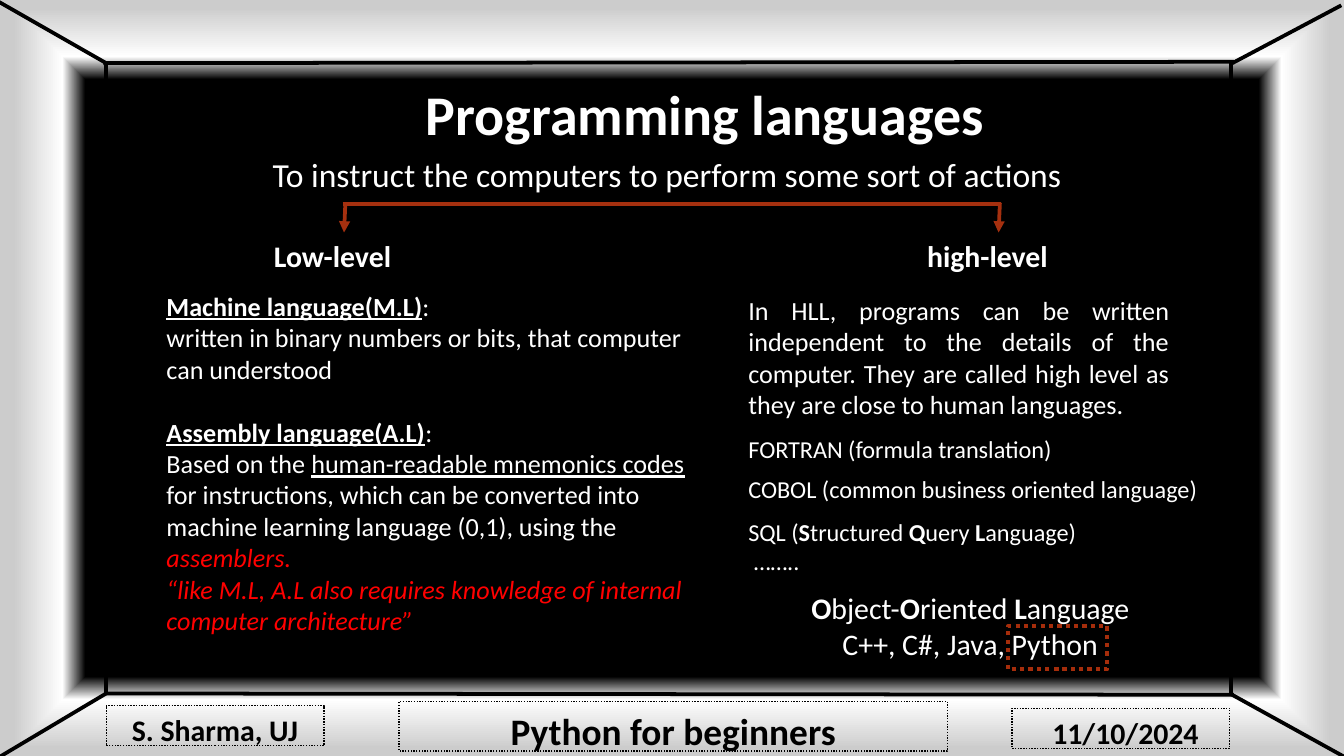
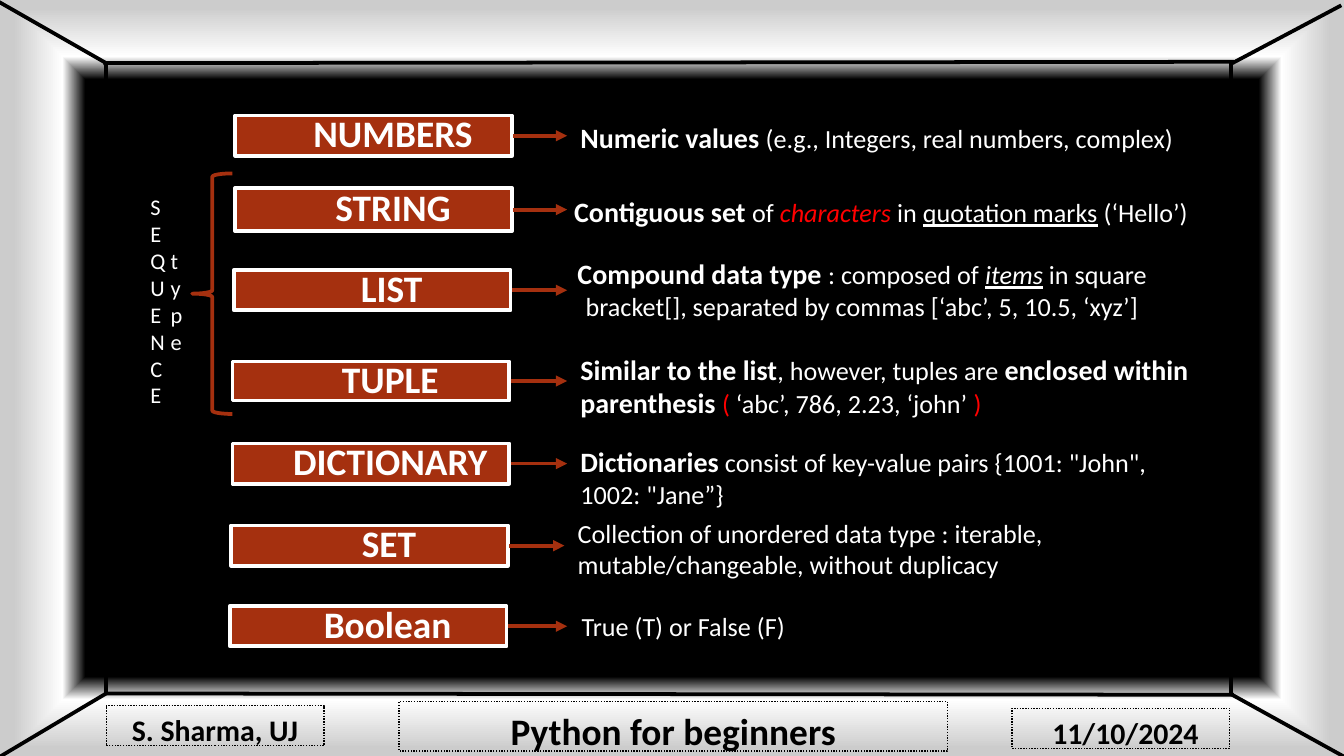
from lxml.etree import SubElement
from pptx import Presentation
from pptx.dml.color import RGBColor
from pptx.enum.dml import MSO_LINE
from pptx.enum.shapes import MSO_CONNECTOR, MSO_SHAPE
from pptx.enum.text import MSO_ANCHOR, MSO_AUTO_SIZE, PP_ALIGN as ALIGN
from pptx.oxml.ns import qn
from pptx.util import Inches, Pt

COLORS = {
    "black": "000000",
    "white": "FFFFFF",
    "gray": "CCCCCC",
    "rust": "A5300F",
    "marker": "A52D0B",
    "red": "FF0000",
}
FONT = "Calibri"


def write(shape, paragraphs, size, align=ALIGN.LEFT, color="white", bold_size=None):
    frame = shape.text_frame
    frame.word_wrap = True
    for index, parts in enumerate(paragraphs):
        paragraph = frame.paragraphs[0] if index == 0 else frame.add_paragraph()
        paragraph.alignment = align
        for text, style in parts:
            run = paragraph.add_run()
            run.text = text
            font = run.font
            font.name = FONT
            font.bold = "b" in style
            font.italic = "i" in style
            font.underline = "u" in style
            font.size = Pt(bold_size if bold_size and font.bold else size)
            font.color.rgb = RGBColor.from_string(COLORS["red" if "r" in style else color])
    return frame


def draw_line(slide, start, end, color, arrow=False):
    points = [Inches(value) for value in (*start, *end)]
    connector = slide.shapes.add_connector(MSO_CONNECTOR.STRAIGHT, *points)
    connector.line.color.rgb = RGBColor.from_string(COLORS[color])
    connector.line.width = Pt(2)
    properties = connector.element.spPr
    if arrow:
        SubElement(properties.find(qn("a:ln")), qn("a:tailEnd"), type="triangle")
    SubElement(properties, qn("a:effectLst"))


presentation = Presentation()
presentation.slide_width = Inches(10)
presentation.slide_height = Inches(5.625)
blank_layout = presentation.slide_layouts[6]

backdrop_stops = [(79, "black"), (85, "white"), (98, "gray")]
frame_lines = [
    ((0.78, 5.16), (9.18, 5.17)),
    ((0.79, 5.17), (0.79, 0.46)),
    ((9.16, 5.16), (9.16, 0.46)),
    ((9.17, 0.47), (9.98, 0.04)),
    ((10, 5.63), (9.15, 5.16)),
    ((0.79, 5.16), (0, 5.63)),
    ((0.77, 0.47), (9.18, 0.46)),
    ((0.79, 0.47), (-0.05, -0.01)),
]
footers = [
    ("11/10/2024", (7.53, 5.27, 1.62, 0.3), 16, ALIGN.LEFT, 0.3),
    ("Python for beginners", (2.97, 5.22, 4.08, 0.37), 20, ALIGN.CENTER, 0.1),
    ("S. Sharma, UJ", (0.79, 5.25, 1.62, 0.3), 16, ALIGN.CENTER, 0.1),
]

for _ in range(2):
    slide = presentation.slides.add_slide(blank_layout)
    slide.background.fill.gradient()
    gradient = next(slide.element.iter(qn("a:gradFill")))
    gradient.clear()
    stop_list = SubElement(gradient, qn("a:gsLst"))
    for position, color in backdrop_stops:
        stop = SubElement(stop_list, qn("a:gs"), pos=str(position * 1000))
        SubElement(stop, qn("a:srgbClr"), val=COLORS[color])
    center = SubElement(gradient, qn("a:path"), path="shape")
    SubElement(center, qn("a:fillToRect"), {side: "50000" for side in "ltrb"})

    for start, end in frame_lines:
        draw_line(slide, start, end, "black")

    for text, box, size, align, indent in footers:
        footer = slide.shapes.add_shape(MSO_SHAPE.RECTANGLE, *map(Inches, box))
        footer.shadow.inherit = False
        footer.fill.background()
        footer.line.color.rgb = RGBColor.from_string(COLORS["black"])
        footer.line.width = Pt(0.75)
        footer.line.dash_style = MSO_LINE.ROUND_DOT
        text_frame = write(footer, [[(text, "b")]], size, align, "black")
        text_frame.vertical_anchor = MSO_ANCHOR.TOP
        text_frame.margin_left = Inches(indent)

languages_slide, types_slide = presentation.slides

low_level = [
    [("Machine language(M.L)", "bu"), (":", "")],
    [("written in binary numbers or bits, that computer can understood", "")],
    [("Assembly language(A.L)", "bu"), (":", "")],
    [
        ("Based on the ", ""),
        ("human-readable mnemonics codes", "u"),
        (" for instructions, which can be converted into machine learning language (0,1), using the ", ""),
        ("assemblers.", "ir"),
    ],
    [("“like M.L, A.L also requires knowledge of internal computer architecture”", "ir")],
]
high_level = [[(
    "In HLL, programs can be written independent to the details of the computer. "
    "They are called high level as they are close to human languages.", "",
)]]
query_language = [
    [("SQL (", ""), ("S", "b"), ("tructured ", ""), ("Q", "b"), ("uery ", ""), ("L", "b"), ("anguage)", "")],
    [(" ……..", "")],
]
object_oriented = [
    [("O", "b"), ("bject-", ""), ("O", "b"), ("riented ", ""), ("L", "b"), ("anguage", "")],
    [("C++, C#, Java, Python", "")],
]
language_texts = [
    ((3.07, 0.54, 4.6, 0.61), 30, ALIGN.LEFT, [[("Programming languages", "b")]]),
    ((1.93, 1.1, 6.44, 0.4), 18, ALIGN.LEFT,
     [[("To instruct the computers to perform some sort of actions", "")]]),
    ((1.94, 1.72, 1.27, 0.37), 16, ALIGN.LEFT, [[("Low-level", "b")]]),
    ((6.8, 1.72, 1.27, 0.37), 16, ALIGN.LEFT, [[("high-level", "b")]]),
    ((1.14, 2.11, 4.11, 2.93), 14, ALIGN.LEFT, low_level),
    ((5.47, 2.14, 3.33, 1.28), 14, ALIGN.JUSTIFY, high_level),
    ((5.47, 3.18, 3, 0.32), 13, ALIGN.LEFT, [[("FORTRAN (formula translation)", "")]]),
    ((5.47, 3.48, 3.96, 0.32), 13, ALIGN.LEFT, [[("COBOL (common business oriented language)", "")]]),
    ((5.47, 3.8, 3.2, 0.54), 13, ALIGN.LEFT, query_language),
    ((5.72, 4.34, 3, 0.64), 16, ALIGN.CENTER, object_oriented),
]
for box, size, align, paragraphs in language_texts:
    text_box = languages_slide.shapes.add_textbox(*map(Inches, box))
    text_frame = write(text_box, paragraphs, size, align)
    text_frame.auto_size = MSO_AUTO_SIZE.SHAPE_TO_FIT_TEXT
    if paragraphs is low_level:
        text_frame.paragraphs[1].space_after = Pt(17)

draw_line(languages_slide, (2.55, 1.52), (7.45, 1.52), "rust")
for x in (2.57, 7.44):
    draw_line(languages_slide, (x, 1.51), (x - 0.01, 1.73), "rust", arrow=True)

python_marker = languages_slide.shapes.add_shape(
    MSO_SHAPE.RECTANGLE, Inches(7.5), Inches(4.66), Inches(0.74), Inches(0.32))
python_marker.shadow.inherit = False
python_marker.fill.background()
python_marker.line.color.rgb = RGBColor.from_string(COLORS["marker"])
python_marker.line.width = Pt(2.25)
python_marker.line.dash_style = MSO_LINE.ROUND_DOT

data_types = [
    ("NUMBERS", (1.75, 0.86, 2.06, 0.3), (4.22, 0.85, 4.66, 0.35), ALIGN.LEFT,
     [("Numeric values ", "b"), ("(e.g., Integers, real numbers, complex)", "")]),
    ("STRING", (1.75, 1.4, 2.06, 0.32), (4.16, 1.4, 4.79, 0.35), ALIGN.CENTER,
     [("Contiguous set ", "b"), ("of ", ""), ("characters", "ir"), (" in ", ""),
      ("quotation marks", "u"), (" (‘Hello’)", "")]),
    ("LIST", (1.74, 2.01, 2.06, 0.3), (3.86, 1.86, 5.11, 0.59), ALIGN.CENTER,
     [("Compound data type ", "b"), (": composed of ", ""), ("items", "iu"),
      (" in square bracket[], separated by commas [‘abc’, 5, 10.5, ‘xyz’]", "")]),
    ("TUPLE", (1.73, 2.69, 2.06, 0.29), (4.22, 2.57, 4.79, 0.61), ALIGN.LEFT,
     [("Similar to the list", "b"), (", however, tuples are ", ""),
      ("enclosed within parenthesis ", "b"), ("(", "r"),
      (" ‘abc’, 786, 2.23, ‘john’ ", ""), (")", "r")]),
    ("DICTIONARY", (1.73, 3.3, 2.06, 0.3), (4.22, 3.26, 4.56, 0.59), ALIGN.LEFT,
     [("Dictionaries", "b"), (' consist of key-value pairs {1001: "John", 1002: "Jane”}', "")]),
    ("SET", (1.72, 3.91, 2.06, 0.3), (4.2, 3.8, 5.11, 0.57), ALIGN.LEFT,
     [("Collection of unordered data type : iterable, mutable/changeable, without duplicacy", "")]),
    ("Boolean", (1.71, 4.51, 2.06, 0.3), (4.23, 4.49, 4.56, 0.34), ALIGN.LEFT,
     [("True (T) or False (F)", "")]),
]
for name, box, description_box, align, description in data_types:
    left, top, width, height = box
    label = types_slide.shapes.add_shape(MSO_SHAPE.RECTANGLE, *map(Inches, box))
    label.shadow.inherit = False
    label.fill.solid()
    label.fill.fore_color.rgb = RGBColor.from_string(COLORS["rust"])
    label.line.color.rgb = RGBColor.from_string(COLORS["white"])
    label.line.width = Pt(2)
    text_frame = write(label, [[(name, "b")]], 20, ALIGN.CENTER)
    text_frame.vertical_anchor = MSO_ANCHOR.MIDDLE
    text_frame.margin_left = Inches(0.35)
    text_frame.margin_top = text_frame.margin_right = text_frame.margin_bottom = Inches(0.06)
    text_frame.paragraphs[0].line_spacing = 0.9

    middle = top + height / 2
    arrow_end = 4.2 if name == "SET" else 4.22
    draw_line(types_slide, (left + width + 0.01, middle), (arrow_end, middle), "rust", arrow=True)

    text_box = types_slide.shapes.add_textbox(*map(Inches, description_box))
    text_frame = write(text_box, [description], 14, align, bold_size=15)
    text_frame.auto_size = MSO_AUTO_SIZE.SHAPE_TO_FIT_TEXT

brace = types_slide.shapes.add_shape(
    MSO_SHAPE.LEFT_BRACE, Inches(1.43), Inches(1.29), Inches(0.3), Inches(1.79))
brace.shadow.inherit = False
brace.fill.background()
brace.line.color.rgb = RGBColor.from_string(COLORS["rust"])
brace.line.width = Pt(2)

vertical_words = [
    ((1.06, 1.39, 0.16, 1.72), [[(letter, "")] for letter in "SEQUENCE"]),
    ((1.21, 1.79, 0.16, 0.91), [[("type", "")]]),
]
for box, paragraphs in vertical_words:
    text_box = types_slide.shapes.add_textbox(*map(Inches, box))
    text_frame = write(text_box, paragraphs, 12)
    text_frame.margin_left = Inches(0.06)
    text_frame.margin_right = 0

presentation.save("out.pptx")
